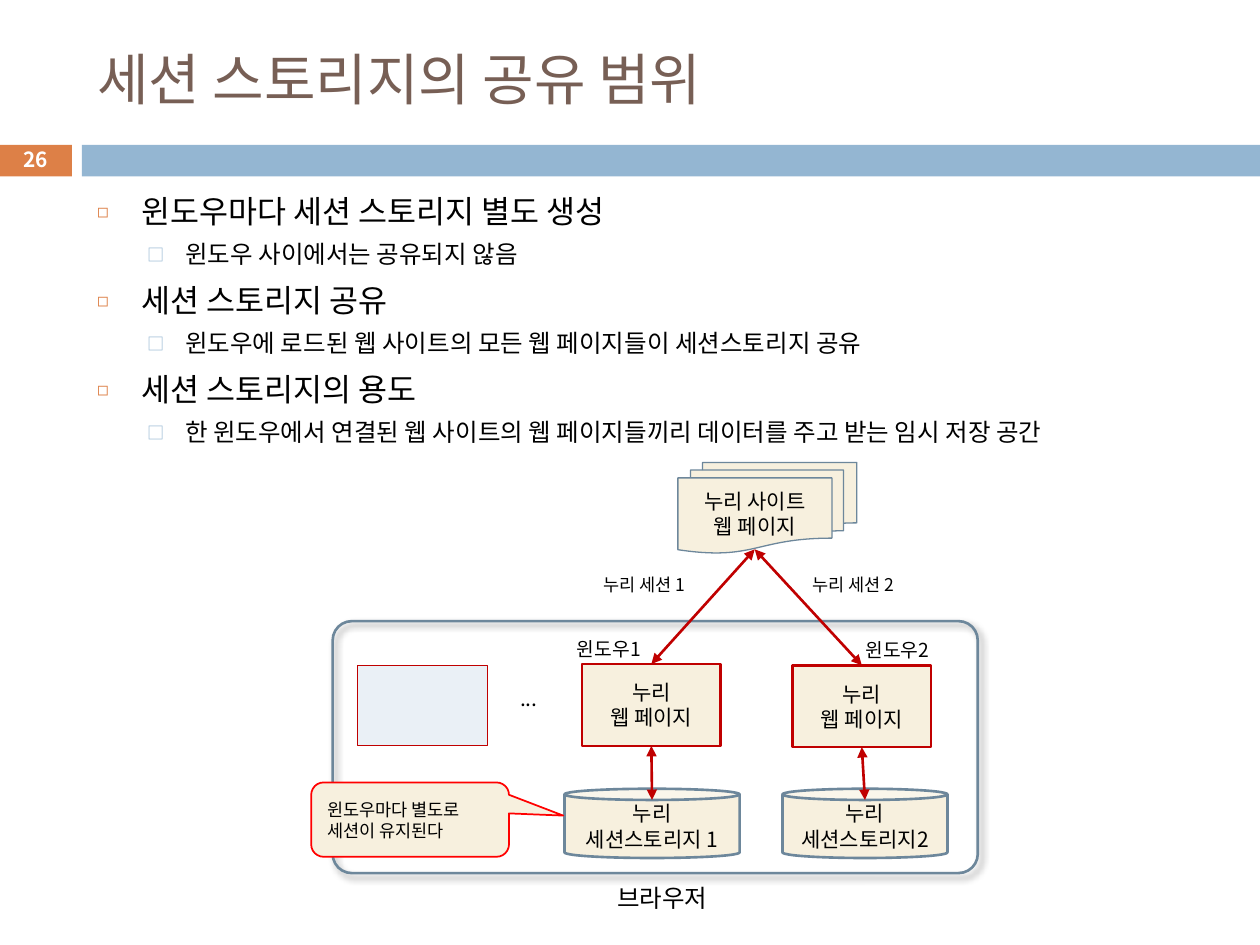
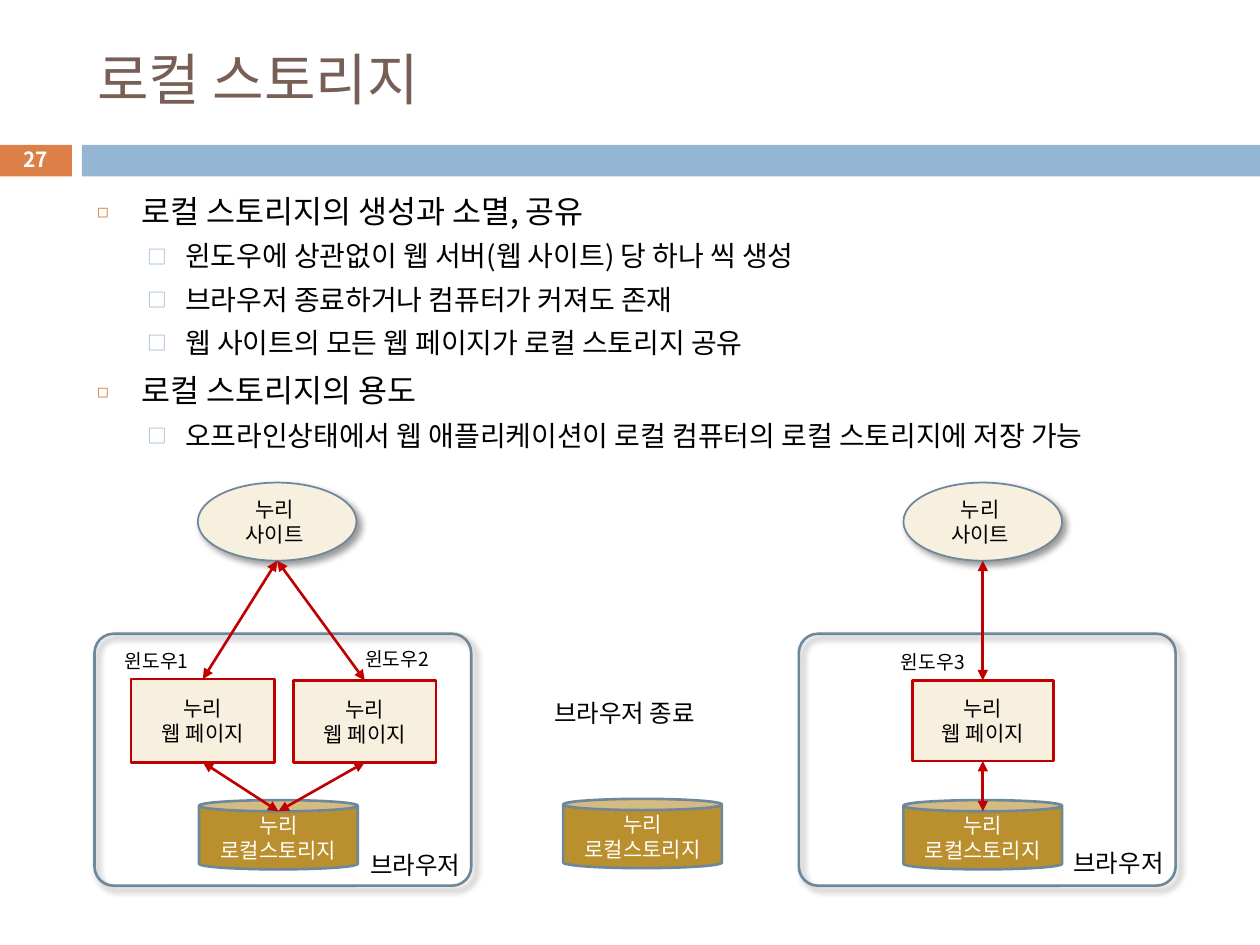
from dataclasses import dataclass

from lxml.etree import SubElement
from pptx import Presentation
from pptx.dml.color import RGBColor
from pptx.enum.shapes import MSO_CONNECTOR, MSO_SHAPE
from pptx.enum.text import MSO_ANCHOR, MSO_AUTO_SIZE, PP_ALIGN
from pptx.oxml.ns import qn
from pptx.util import Inches, Pt


@dataclass(frozen=True)
class Theme:
    font: str = "Noto Sans CJK KR"
    title: str = "775F55"
    orange: str = "DD8047"
    blue: str = "94B6D2"
    slate: str = "6D879B"
    cream: str = "F7F0DE"
    pale: str = "EAF0F6"
    gold: str = "BA8F2D"
    crimson: str = "C00000"
    red: str = "FF0000"
    black: str = "000000"
    white: str = "FFFFFF"
    title_size: float = 32
    number_size: float = 11.9
    topic_size: float = 18
    part_size: float = 12
    note_size: float = 10
    window_size: float = 11
    caption_size: float = 14


THEME = Theme()
CAN_RIM = 0.162
CORNER = 0.076


@dataclass(frozen=True)
class Style:
    outline: MSO_SHAPE
    fill: str
    line: str
    width: float
    color: str = THEME.black
    size: float = THEME.part_size
    align: PP_ALIGN = PP_ALIGN.CENTER
    adjust: tuple = ()
    shadow: bool = False
    insets: tuple = (0.1, 0.05, 0.1, 0.05)


STYLES = {
    "browser": Style(MSO_SHAPE.ROUNDED_RECTANGLE, None, THEME.slate, 1.5, adjust=(CORNER,), shadow=True),
    "page": Style(MSO_SHAPE.RECTANGLE, THEME.cream, THEME.crimson, 1.5),
    "blank": Style(MSO_SHAPE.RECTANGLE, THEME.pale, THEME.crimson, 0.75),
    "session": Style(MSO_SHAPE.CAN, THEME.cream, THEME.slate, 1.5, adjust=(CAN_RIM,)),
    "local": Style(MSO_SHAPE.CAN, THEME.gold, THEME.slate, 1.5, THEME.white, adjust=(CAN_RIM,)),
    "documents": Style(MSO_SHAPE.FLOWCHART_MULTIDOCUMENT, THEME.cream, THEME.slate, 0.75),
    "site": Style(MSO_SHAPE.OVAL, THEME.cream, THEME.slate, 1, shadow=True, insets=(0, 0.05, 0.04, 0.05)),
    "callout": Style(MSO_SHAPE.ROUNDED_RECTANGULAR_CALLOUT, THEME.cream, THEME.red, 1,
                     size=THEME.note_size, align=PP_ALIGN.LEFT, adjust=(0.774, -0.054, 0.167)),
}

LABEL_SIZES = {
    "window": (0.75, 0.29, THEME.window_size),
    "session": (0.94, 0.27, THEME.note_size),
    "browser": (0.99, 0.34, THEME.caption_size),
    "event": (1.45, 0.34, THEME.caption_size),
    "dots": (0.52, 0.3, THEME.part_size),
}

PAGE = "누리\n웹 페이지"
SITE = "누리\n사이트"
LOCAL = "누리\n로컬스토리지"

SLIDES = [
    {
        "number": "26",
        "title": "세션 스토리지의 공유 범위",
        "detail_size": 14,
        "topics": [
            ("윈도우마다 세션 스토리지 별도 생성", ["윈도우 사이에서는 공유되지 않음"]),
            ("세션 스토리지 공유", ["윈도우에 로드된 웹 사이트의 모든 웹 페이지들이 세션스토리지 공유"]),
            ("세션 스토리지의 용도", ["한 윈도우에서 연결된 웹 사이트의 웹 페이지들끼리 데이터를 주고 받는 임시 저장 공간"]),
        ],
        "parts": {
            "browser": ("browser", (2.64, 4.93, 5.12, 2), ""),
            "blank": ("blank", (2.84, 5.28, 1.03, 0.64), ""),
            "page 1": ("page", (4.62, 5.27, 1.1, 0.65), PAGE),
            "page 2": ("page", (6.29, 5.28, 1.1, 0.65), PAGE),
            "store 1": ("session", (4.48, 6.26, 1.39, 0.55), "누리\n세션스토리지 1"),
            "store 2": ("session", (6.21, 6.26, 1.31, 0.55), "누리\n세션스토리지2"),
            "note": ("callout", (2.47, 6.21, 1.57, 0.59), "윈도우마다 별도로 세션이 유지된다"),
            "site": ("documents", (5.38, 3.67, 1.42, 0.72), "누리 사이트\n웹 페이지"),
        },
        "arrows": [("site", "page 1"), ("site", "page 2"), ("page 1", "store 1"), ("page 2", "store 2")],
        "labels": [
            ("session", 4.69, 4.51, "누리 세션 1"),
            ("session", 6.35, 4.51, "누리 세션 2"),
            ("window", 4.48, 5.01, "윈도우1"),
            ("window", 6.77, 5.02, "윈도우2"),
            ("dots", 4.03, 5.39, "..."),
            ("browser", 4.8, 6.96, "브라우저"),
        ],
    },
    {
        "number": "27",
        "title": "로컬 스토리지",
        "detail_size": 16,
        "topics": [
            ("로컬 스토리지의 생성과 소멸, 공유", [
                "윈도우에 상관없이 웹 서버(웹 사이트) 당 하나 씩 생성",
                "브라우저 종료하거나 컴퓨터가 커져도 존재",
                "웹 사이트의 모든 웹 페이지가 로컬 스토리지 공유",
            ]),
            ("로컬 스토리지의 용도", ["오프라인상태에서 웹 애플리케이션이 로컬 컴퓨터의 로컬 스토리지에 저장 가능"]),
        ],
        "parts": {
            "browser before": ("browser", (0.75, 5.03, 2.99, 2), ""),
            "browser after": ("browser", (6.34, 5.03, 2.99, 2), ""),
            "site before": ("site", (1.57, 3.83, 1.26, 0.62), SITE),
            "site after": ("site", (7.17, 3.83, 1.26, 0.62), SITE),
            "page 1": ("page", (1.04, 5.39, 1.14, 0.66), PAGE),
            "page 2": ("page", (2.33, 5.4, 1.13, 0.65), PAGE),
            "page 3": ("page", (7.24, 5.4, 1.12, 0.64), PAGE),
            "store before": ("local", (1.58, 6.35, 1.26, 0.55), LOCAL),
            "store kept": ("local", (4.47, 6.34, 1.26, 0.55), LOCAL),
            "store after": ("local", (7.17, 6.35, 1.26, 0.55), LOCAL),
        },
        "arrows": [
            ("site before", "page 1"), ("site before", "page 2"),
            ("page 1", "store before"), ("page 2", "store before"),
            ("site after", "page 3"), ("page 3", "store after"),
        ],
        "labels": [
            ("window", 0.89, 5.1, "윈도우1"),
            ("window", 2.8, 5.09, "윈도우2"),
            ("window", 7.05, 5.11, "윈도우3"),
            ("browser", 2.84, 6.7, "브라우저"),
            ("browser", 8.42, 6.68, "브라우저"),
            ("event", 4.3, 5.49, "브라우저 종료"),
        ],
    },
]


def rgb(color):
    return RGBColor.from_string(color)


def inches(values):
    return [Inches(value) for value in values]


def place(shape, box):
    shape.left, shape.top, shape.width, shape.height = inches(box)


def set_font(paragraph, size, color, align=PP_ALIGN.LEFT, bold=False):
    paragraph.alignment = align
    font = paragraph.font
    font.size, font.name, font.bold = Pt(size), THEME.font, bold
    font.color.rgb = rgb(color)
    defaults = paragraph._p.pPr.find(qn("a:defRPr"))
    SubElement(defaults, qn("a:ea"), typeface=THEME.font)


def write(frame, text, size, color, align=PP_ALIGN.LEFT, bold=False):
    frame.text = text
    for paragraph in frame.paragraphs:
        set_font(paragraph, size, color, align, bold)


def add_shape(slide, outline, box, fill):
    shape = slide.shapes.add_shape(outline, *inches(box))
    shape.shadow.inherit = False
    if fill:
        shape.fill.solid()
        shape.fill.fore_color.rgb = rgb(fill)
    else:
        shape.fill.background()
    return shape


def add_part(slide, kind, box, text):
    style = STYLES[kind]
    part = add_shape(slide, style.outline, box, style.fill)
    part.line.color.rgb = rgb(style.line)
    part.line.width = Pt(style.width)
    for index, value in enumerate(style.adjust):
        part.adjustments[index] = value
    if style.shadow:
        effects = part._element.spPr.find(qn("a:effectLst"))
        shadow = SubElement(effects, qn("a:outerShdw"), blurRad=str(Pt(4)), dist=str(Pt(3)),
                            dir="2700000", algn="tl", rotWithShape="0")
        tint = SubElement(shadow, qn("a:srgbClr"), val=THEME.black)
        SubElement(tint, qn("a:alpha"), val="40000")
    if text:
        frame = part.text_frame
        frame.word_wrap = True
        frame.vertical_anchor = MSO_ANCHOR.MIDDLE
        frame.margin_left, frame.margin_top, frame.margin_right, frame.margin_bottom = inches(style.insets)
        write(frame, text, style.size, style.color, style.align)


def lower_end(part):
    kind, (left, top, width, height), _ = part
    if kind == "documents":
        return left + width / 2 - 0.1, top + height - 0.03
    return left + width / 2, top + height


def upper_end(part):
    kind, (left, top, width, height), _ = part
    rim = CAN_RIM * height if STYLES[kind].outline == MSO_SHAPE.CAN else 0
    return left + width / 2, top + rim


def add_arrow(slide, upper, lower):
    ends = inches(lower_end(upper) + upper_end(lower))
    arrow = slide.shapes.add_connector(MSO_CONNECTOR.STRAIGHT, *ends)
    arrow.line.color.rgb = rgb(THEME.crimson)
    arrow.line.width = Pt(1.5)
    properties = arrow._element.spPr
    for end in ("a:headEnd", "a:tailEnd"):
        SubElement(properties.find(qn("a:ln")), qn(end), type="triangle")
    SubElement(properties, qn("a:effectLst"))


def add_label(slide, role, left, top, text):
    width, height, size = LABEL_SIZES[role]
    frame = slide.shapes.add_textbox(*inches((left, top, width, height))).text_frame
    frame.word_wrap = False
    frame.auto_size = MSO_AUTO_SIZE.SHAPE_TO_FIT_TEXT
    write(frame, text, size, THEME.black)


def add_bullet(paragraph, level, size, first):
    margin, hanging, before, symbol, color, scale = (
        (0.35, 0.35, 7, "◻", THEME.orange, 60),
        (0.7, 0.3, 5.5, "□", THEME.blue, 70),
    )[level]
    paragraph.level = level
    paragraph.space_before = Pt(0 if first else before)
    properties = paragraph._p.get_or_add_pPr()
    properties.set("marL", str(Inches(margin)))
    properties.set("indent", str(-Inches(hanging)))
    SubElement(SubElement(properties, qn("a:buClr")), qn("a:srgbClr"), val=color)
    SubElement(properties, qn("a:buSzPct"), val=str(scale * 1000))
    SubElement(properties, qn("a:buFont"), typeface=THEME.font)
    SubElement(properties, qn("a:buChar"), char=symbol)
    set_font(paragraph, size, THEME.black)


def fill_topics(frame, topics, detail_size):
    frame.auto_size = MSO_AUTO_SIZE.NONE
    rows = []
    for topic, details in topics:
        rows.append((0, THEME.topic_size, topic))
        rows += [(1, detail_size, detail) for detail in details]
    for index, (level, size, text) in enumerate(rows):
        paragraph = frame.add_paragraph() if index else frame.paragraphs[0]
        paragraph.text = text
        add_bullet(paragraph, level, size, index == 0)


def add_frame(slide, content):
    for box, color in (((-0.01, 1.15, 0.58, 0.25), THEME.orange), ((0.65, 1.15, 9.35, 0.25), THEME.blue)):
        add_shape(slide, MSO_SHAPE.RECTANGLE, box, color).line.fill.background()
    number = slide.shapes.add_textbox(*inches((-0.01, 1.13, 0.58, 0.27))).text_frame
    number.word_wrap = True
    number.vertical_anchor = MSO_ANCHOR.MIDDLE
    number.margin_top = number.margin_bottom = 0
    write(number, content["number"], THEME.number_size, THEME.white, PP_ALIGN.CENTER, True)

    title, body = slide.placeholders
    place(title, (0.67, 0.25, 8.92, 0.74))
    title.text_frame.auto_size = MSO_AUTO_SIZE.NONE
    title.text_frame.vertical_anchor = MSO_ANCHOR.MIDDLE
    write(title.text_frame, content["title"], THEME.title_size, THEME.title)
    place(body, (0.67, 1.47, 8.92, 5.51))
    fill_topics(body.text_frame, content["topics"], content["detail_size"])


def main():
    deck = Presentation()
    deck.slide_width, deck.slide_height = inches((10, 7.5))
    for content in SLIDES:
        slide = deck.slides.add_slide(deck.slide_layouts[1])
        add_frame(slide, content)
        parts = content["parts"]
        for part in parts.values():
            add_part(slide, *part)
        for upper, lower in content["arrows"]:
            add_arrow(slide, parts[upper], parts[lower])
        for label in content["labels"]:
            add_label(slide, *label)
    deck.save("out.pptx")


if __name__ == "__main__":
    main()
